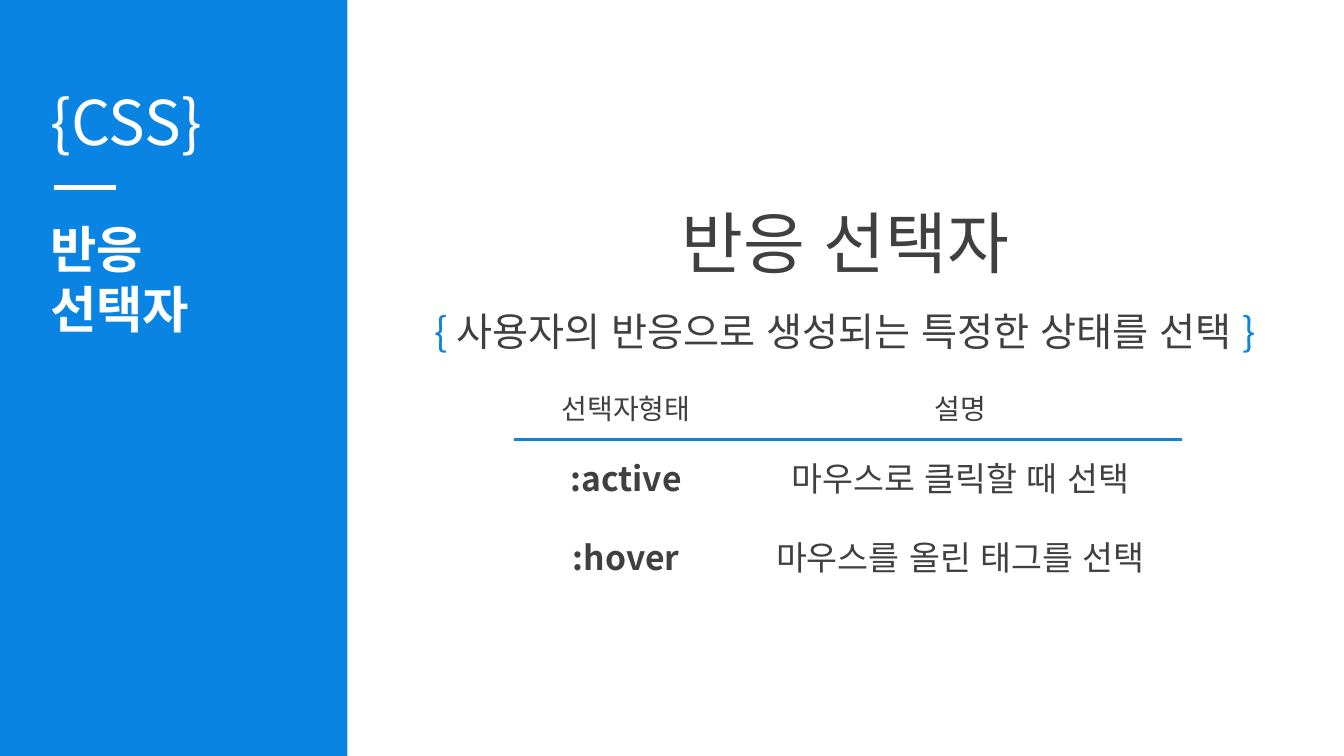
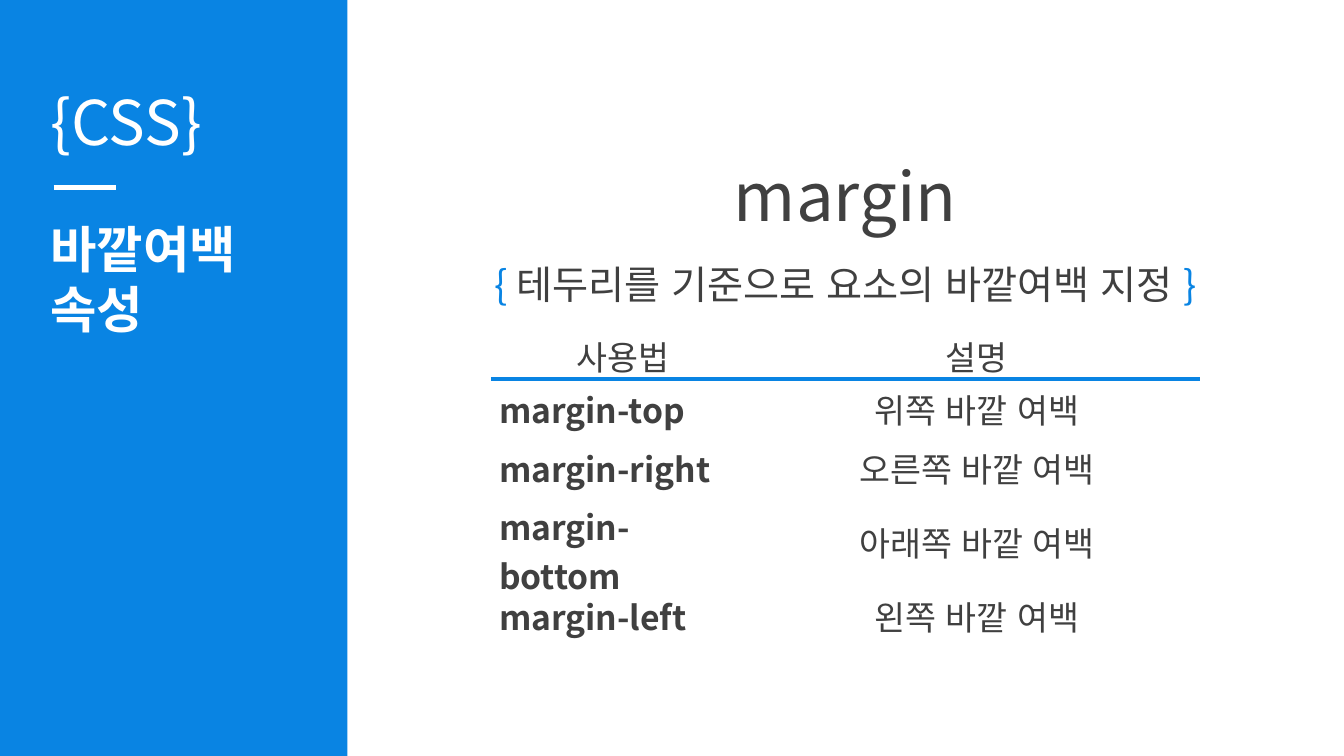
from dataclasses import dataclass

from lxml.etree import SubElement
from pptx import Presentation
from pptx.dml.color import RGBColor
from pptx.enum.lang import MSO_LANGUAGE_ID
from pptx.enum.shapes import MSO_CONNECTOR, MSO_SHAPE
from pptx.enum.text import MSO_ANCHOR, MSO_AUTO_SIZE, PP_ALIGN
from pptx.oxml.ns import qn
from pptx.util import Inches, Pt


@dataclass(frozen=True)
class Theme:
    font: str = "Noto Sans CJK KR"
    accent: str = "0984E3"
    ink: str = "404040"
    paper: str = "FFFFFF"
    badge: int = 44
    heading: int = 36
    title: int = 48
    subtitle: int = 28
    body: int = 24
    small: int = 20
    rule: int = 3


class Deck:
    """Draws slides on a grid of 64 columns and 36 rows."""

    columns = 64
    rows = 36
    main_left = 16.5
    main_width = 47.5

    def __init__(self, theme):
        self.theme = theme
        self.presentation = Presentation()
        self.presentation.slide_width = Inches(13.33)
        self.presentation.slide_height = Inches(7.5)
        self.slide = None

    def across(self, columns):
        return round(self.presentation.slide_width * columns / self.columns)

    def down(self, rows):
        return round(self.presentation.slide_height * rows / self.rows)

    def box(self, left, top, width, height):
        return self.across(left), self.down(top), self.across(width), self.down(height)

    def style(self, run, size, color, bold=False):
        run.font.size = Pt(size)
        run.font.bold = bold
        run.font.language_id = MSO_LANGUAGE_ID.KOREAN
        run.font.color.rgb = RGBColor.from_string(color)
        run.font.name = self.theme.font
        east_asian = SubElement(run.font._element, qn("a:ea"))
        east_asian.set("typeface", self.theme.font)

    def style_frame(self, text_frame, size, color, bold=False, align=PP_ALIGN.LEFT):
        for paragraph in text_frame.paragraphs:
            paragraph.alignment = align
            for run in paragraph.runs:
                self.style(run, size, color, bold)

    def text_box(self, place, wrap):
        text_frame = self.slide.shapes.add_textbox(*self.box(*place)).text_frame
        text_frame.word_wrap = wrap
        text_frame.auto_size = MSO_AUTO_SIZE.SHAPE_TO_FIT_TEXT
        return text_frame

    def label(self, text, place, size, color, bold=False, align=PP_ALIGN.LEFT, wrap=False):
        text_frame = self.text_box(place, wrap)
        text_frame.text = text
        self.style_frame(text_frame, size, color, bold, align)

    def side_panel(self):
        panel = self.slide.shapes.add_shape(
            MSO_SHAPE.RECTANGLE, *self.box(0, 0, 16.55, self.rows)
        )
        panel.shadow.inherit = False
        panel.fill.solid()
        panel.fill.fore_color.rgb = RGBColor.from_string(self.theme.accent)
        panel.line.fill.background()

    def short_rule(self):
        height = self.down(8.93)
        rule = self.slide.shapes.add_connector(
            MSO_CONNECTOR.STRAIGHT, self.across(2.55), height, self.across(5.52), height
        )
        rule.line.color.rgb = RGBColor.from_string(self.theme.paper)
        rule.line.width = Pt(self.theme.rule)
        SubElement(rule._element.spPr, qn("a:effectLst"))

    def new_slide(self, heading, heading_width):
        theme = self.theme
        self.slide = self.presentation.slides.add_slide(self.presentation.slide_layouts[6])
        self.side_panel()
        self.short_rule()
        self.label("{CSS}", (1.92, 3.74, 8.88, 4.03), theme.badge, theme.paper)
        self.label(
            heading, (1.92, 10.13, heading_width, 6.29), theme.heading, theme.paper, bold=True
        )

    def title(self, text, top):
        place = (self.main_left, top, self.main_width, 4.37)
        self.label(
            text, place, self.theme.title, self.theme.ink, align=PP_ALIGN.CENTER, wrap=True
        )

    def subtitle(self, text, top):
        theme = self.theme
        text_frame = self.text_box((self.main_left, top, self.main_width, 2.74), True)
        paragraph = text_frame.paragraphs[0]
        paragraph.alignment = PP_ALIGN.CENTER
        parts = (("{ ", theme.accent), (text + " ", theme.ink), ("}", theme.accent))
        for part, color in parts:
            run = paragraph.add_run()
            run.text = part
            self.style(run, theme.subtitle, color)

    def borders(self, cell, ruled_side):
        properties = cell._tc.get_or_add_tcPr()
        for position, side in enumerate(("lnL", "lnR", "lnT", "lnB")):
            line = properties.makeelement(qn(f"a:{side}"), {})
            if side == ruled_side:
                line.set("w", str(Pt(self.theme.rule)))
                fill = SubElement(line, qn("a:solidFill"))
                SubElement(fill, qn("a:srgbClr")).set("val", self.theme.accent)
            else:
                SubElement(line, qn("a:noFill"))
            properties.insert(position, line)

    def table(self, content, left, top, widths, heights, header_size, name_align):
        place = self.box(left, top, sum(widths), sum(heights))
        table = self.slide.shapes.add_table(len(heights), len(widths), *place).table
        table.first_row = False
        table.horz_banding = False
        ruled_sides = {0: "lnB", 1: "lnT"}
        for column, width in zip(table.columns, widths):
            column.width = self.across(width)
        for row_index, values in enumerate(content):
            table.rows[row_index].height = self.down(heights[row_index])
            is_header = row_index == 0
            for column_index, value in enumerate(values):
                is_name = column_index == 0 and not is_header
                cell = table.cell(row_index, column_index)
                cell.text_frame.text = value
                cell.fill.background()
                cell.vertical_anchor = MSO_ANCHOR.MIDDLE
                cell.margin_left = cell.margin_right = Inches(0.08)
                cell.margin_top = cell.margin_bottom = Inches(0.04)
                self.style_frame(
                    cell.text_frame,
                    header_size if is_header else self.theme.body,
                    self.theme.ink,
                    bold=is_name,
                    align=name_align if is_name else PP_ALIGN.CENTER,
                )
                self.borders(cell, ruled_sides.get(row_index))

    def topic(self, title, subtitle, top, content, **table_layout):
        self.title(title, top)
        self.subtitle(subtitle, top + 5.04)
        self.table(content, top=top + 8.5, **table_layout)


def main():
    theme = Theme()
    deck = Deck(theme)

    deck.new_slide("반응\n선택자", 7.58)
    deck.topic(
        "반응 선택자",
        "사용자의 반응으로 생성되는 특정한 상태를 선택",
        9.36,
        [
            ("선택자형태", "설명"),
            (":active", "마우스로 클릭할 때 선택"),
            (":hover", "마우스를 올린 태그를 선택"),
        ],
        left=24.48,
        widths=(10.66, 21.17),
        heights=(3.07, 3.55, 4.03),
        header_size=theme.small,
        name_align=PP_ALIGN.CENTER,
    )

    deck.new_slide("바깥여백\n속성", 9.79)
    deck.topic(
        "margin",
        "테두리를 기준으로 요소의 바깥여백 지정",
        7.1,
        [
            ("사용법", "설명"),
            ("margin-top", "위쪽 바깥 여백"),
            ("margin-right", "오른쪽 바깥 여백"),
            ("margin-bottom", "아래쪽 바깥 여백"),
            ("margin-left", "왼쪽 바깥 여백"),
        ],
        left=23.38,
        widths=(12.53, 21.22),
        heights=(2.45,) + (2.83,) * 4,
        header_size=theme.body,
        name_align=PP_ALIGN.LEFT,
    )

    deck.presentation.save("out.pptx")


if __name__ == "__main__":
    main()
